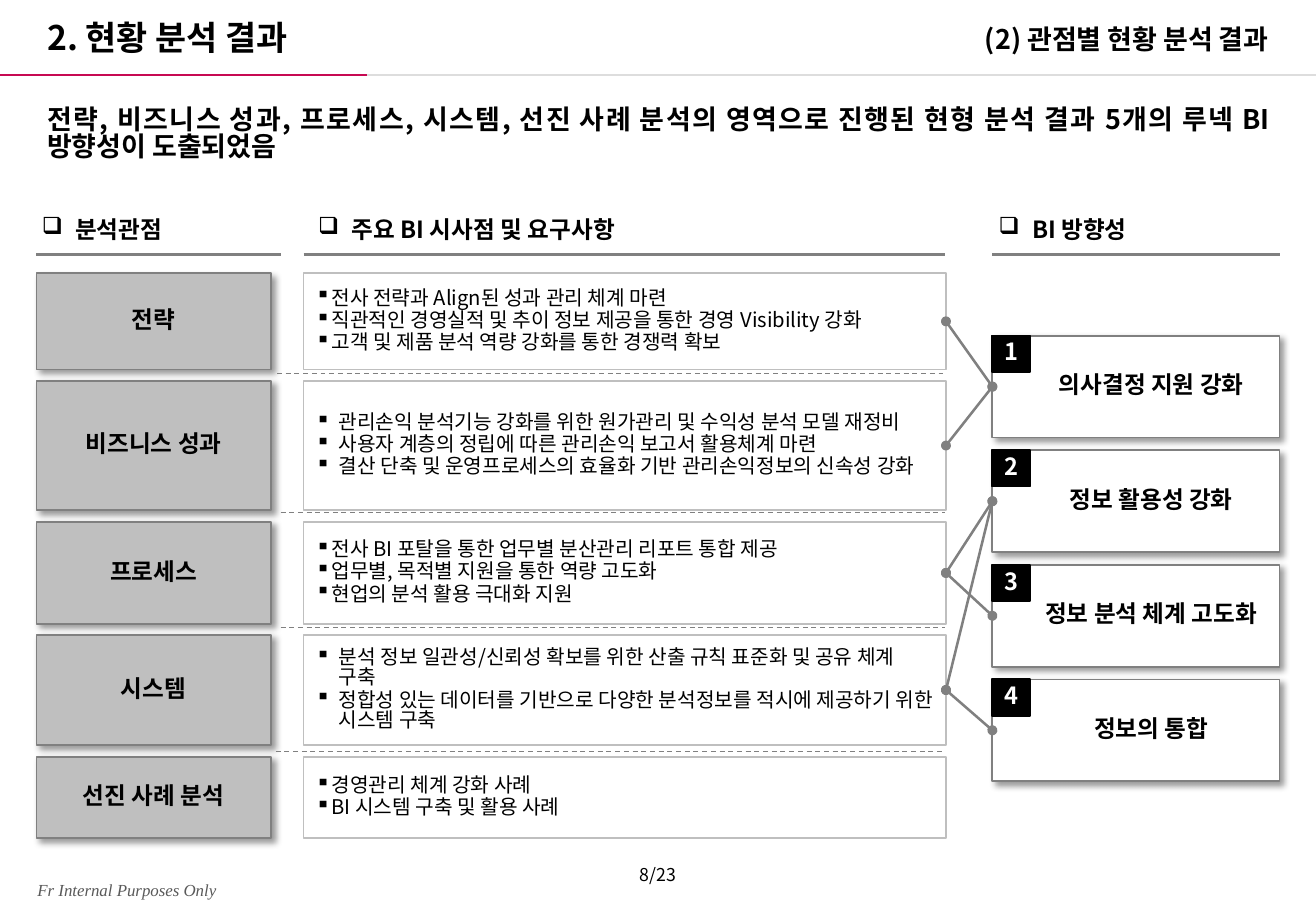
from lxml.etree import SubElement
from pptx import Presentation
from pptx.dml.color import RGBColor
from pptx.enum.dml import MSO_LINE
from pptx.enum.shapes import MSO_CONNECTOR, MSO_SHAPE
from pptx.enum.text import MSO_ANCHOR, PP_ALIGN
from pptx.oxml.ns import qn
from pptx.util import Pt

FONT = "Noto Sans CJK KR"
GRAY, SILVER = "808080", "BFBFBF"
rgb = RGBColor.from_string

prs = Presentation()
prs.slide_width, prs.slide_height = Pt(780), Pt(540)
s = prs.slides.add_slide(prs.slide_layouts[6])


def block(x, y, w, h, lines, size, bold=True, color="000000", font=FONT, italic=False,
          align=PP_ALIGN.LEFT, anchor=MSO_ANCHOR.MIDDLE, inset=(7.2, 3.6, 7.2, 3.6),
          bullet=None, indent=0, fill=None, border=None, shadow=False):
    """Add a text box, or a rectangle when a border colour is given."""
    box = Pt(x), Pt(y), Pt(w), Pt(h)
    if border:
        sp = s.shapes.add_shape(MSO_SHAPE.RECTANGLE, *box)
        sp.shadow.inherit = False
        sp.line.color.rgb = rgb(border)
        sp.line.width = Pt(1)
        if fill:
            sp.fill.solid()
            sp.fill.fore_color.rgb = rgb(fill)
        else:
            sp.fill.background()
    else:
        sp = s.shapes.add_textbox(*box)
    if shadow:
        effects = sp._element.spPr.find(qn("a:effectLst"))
        outer = SubElement(effects, qn("a:outerShdw"), blurRad=str(Pt(4)),
                           dist=str(Pt(3)), dir="2700000", algn="tl", rotWithShape="0")
        black = SubElement(outer, qn("a:srgbClr"), val="000000")
        SubElement(black, qn("a:alpha"), val="40000")
    tf = sp.text_frame
    tf.word_wrap = True
    tf.vertical_anchor = anchor
    tf.margin_left, tf.margin_top, tf.margin_right, tf.margin_bottom = map(Pt, inset)
    for i, text in enumerate(lines):
        p = tf.paragraphs[0] if i == 0 else tf.add_paragraph()
        p.alignment = align
        p.space_before = p.space_after = Pt(size * 0.05)
        if font == FONT:
            p.line_spacing = 0.83
        if bullet:
            pPr = p._p.get_or_add_pPr()
            pPr.set("marL", str(Pt(indent)))
            pPr.set("indent", str(-Pt(indent)))
            SubElement(pPr, qn("a:buChar"), char=bullet)
        r = p.add_run()
        r.text = text
        r.font.name, r.font.size = font, Pt(size)
        r.font.bold, r.font.italic = bold, italic
        r.font.color.rgb = rgb(color)
        SubElement(r._r.get_or_add_rPr(), qn("a:ea"), typeface=font)


def line(x1, y1, x2, y2, color=GRAY, width=1.5, dash=False, dots=False):
    c = s.shapes.add_connector(MSO_CONNECTOR.STRAIGHT, Pt(x1), Pt(y1), Pt(x2), Pt(y2))
    c.line.color.rgb = rgb(color)
    c.line.width = Pt(width)
    if dash:
        c.line.dash_style = MSO_LINE.DASH
    if dots:
        for end in ("a:headEnd", "a:tailEnd"):
            SubElement(c.line._get_or_add_ln(), qn(end), type="oval")
    SubElement(c._element.spPr, qn("a:effectLst"))


# Header, headline and footer
line(0, 44.6, 217.5, 44.6, "C70952")
line(217.5, 44.6, 780, 44.6, "DDDDDD")
block(20.9, 5, 426, 32.4, ["2. 현황 분석 결과"], 20, anchor=MSO_ANCHOR.BOTTOM)
block(494.6, 3.6, 264.4, 32.4, ["(2) 관점별 현황 분석 결과"], 16,
      align=PP_ALIGN.RIGHT, anchor=MSO_ANCHOR.BOTTOM)
block(20.9, 60.5, 738.7, 48.2,
      ["전략, 비즈니스 성과, 프로세스, 시스템, 선진 사례 분석의 영역으로 진행된 "
       "현형 분석 결과 5개의 루넥 BI 방향성이 도출되었음"],
      16, align=PP_ALIGN.JUSTIFY, anchor=MSO_ANCHOR.TOP)
block(15.1, 517.7, 193, 19.4, ["Fr Internal Purposes Only"], 10, bold=False,
      color="595959", font="Times New Roman", italic=True)
block(333.4, 510.5, 113, 20.9, ["8/23"], 10.5, bold=False, align=PP_ALIGN.CENTER,
      anchor=MSO_ANCHOR.TOP)

# Column headings: rule start, rule end, text start
for x1, x2, text_x, heading in [(21.6, 166.3, 24.8, "분석관점"),
                                (180, 560.2, 188.6, "주요 BI 시사점 및 요구사항"),
                                (588.2, 758.9, 592, "BI 방향성")]:
    line(x1, 151, x2, 151)
    block(text_x, 130.3, x2 - text_x, 17.3, [heading], 14, anchor=MSO_ANCHOR.TOP,
          inset=(0, 0, 0, 0), bullet="❑", indent=19.8)

# Viewpoints with their findings: top, height, bullet indent
viewpoints = [
    ("전략", 162, 57, 9.5,
     ["전사 전략과 Align된 성과 관리 체계 마련",
      "직관적인 경영실적 및 추이 정보 제공을 통한 경영 Visibility 강화",
      "고객 및 제품 분석 역량 강화를 통한 경쟁력 확보"]),
    ("비즈니스 성과", 225.8, 76.6, 13.7,
     ["관리손익 분석기능 강화를 위한 원가관리 및 수익성 분석 모델 재정비",
      "사용자 계층의 정립에 따른 관리손익 보고서 활용체계 마련",
      "결산 단축 및 운영프로세스의 효율화 기반 관리손익정보의 신속성 강화"]),
    ("프로세스", 309.4, 60.4, 9.5,
     ["전사 BI 포탈을 통한 업무별 분산관리 리포트 통합 제공",
      "업무별, 목적별 지원을 통한 역량 고도화",
      "현업의 분석 활용 극대화 지원"]),
    ("시스템", 376.4, 65.2, 13.7,
     ["분석 정보 일관성/신뢰성 확보를 위한 산출 규칙 표준화 및 공유 체계 구축",
      "정합성 있는 데이터를 기반으로 다양한 분석정보를 적시에 제공하기 위한 시스템 구축"]),
    ("선진 사례 분석", 448.6, 48.2, 9.5,
     ["경영관리 체계 강화 사례", "BI 시스템 구축 및 활용 사례"]),
]
for name, y, h, indent, findings in viewpoints:
    block(21.6, y, 139, h, [name], 14, align=PP_ALIGN.CENTER,
          fill=SILVER, border=GRAY, shadow=True)
    block(180, y, 380.7, h, findings, 12, bold=False, bullet="▪", indent=indent,
          border=SILVER)

# Dashed separators between the rows
for x, y in [(164.2, 221.2), (166.3, 304), (166.3, 372), (163.4, 445.6)]:
    line(x, y, 560.2, y, width=0.75, dash=True)

# Numbered directions
DIR_X, DIR_Y, DIR_H, DIR_STEP = 588.2, 199, 60.4, 67.9
directions = ["의사결정 지원 강화", "정보 활용성 강화", "정보 분석 체계 고도화", "정보의 통합"]
for i, name in enumerate(directions):
    y = DIR_Y + i * DIR_STEP
    block(DIR_X, y, 170.3, DIR_H, [name], 14, align=PP_ALIGN.CENTER,
          inset=(25.2, 3.6, 7.2, 3.6), fill="FFFFFF", border=GRAY, shadow=True)
    block(DIR_X, y, 22.5, 21.6, [str(i + 1)], 14, color="FFFFFF", align=PP_ALIGN.CENTER,
          inset=(0, 0, 0, 0), fill="000000", border="000000")

# Links from viewpoint to direction, middle to middle
for v, d in [(0, 0), (1, 0), (2, 1), (2, 2), (3, 3), (3, 1)]:
    y, h = viewpoints[v][1:3]
    line(560.7, y + h / 2, DIR_X, DIR_Y + d * DIR_STEP + DIR_H / 2, dots=True)

prs.save("out.pptx")
